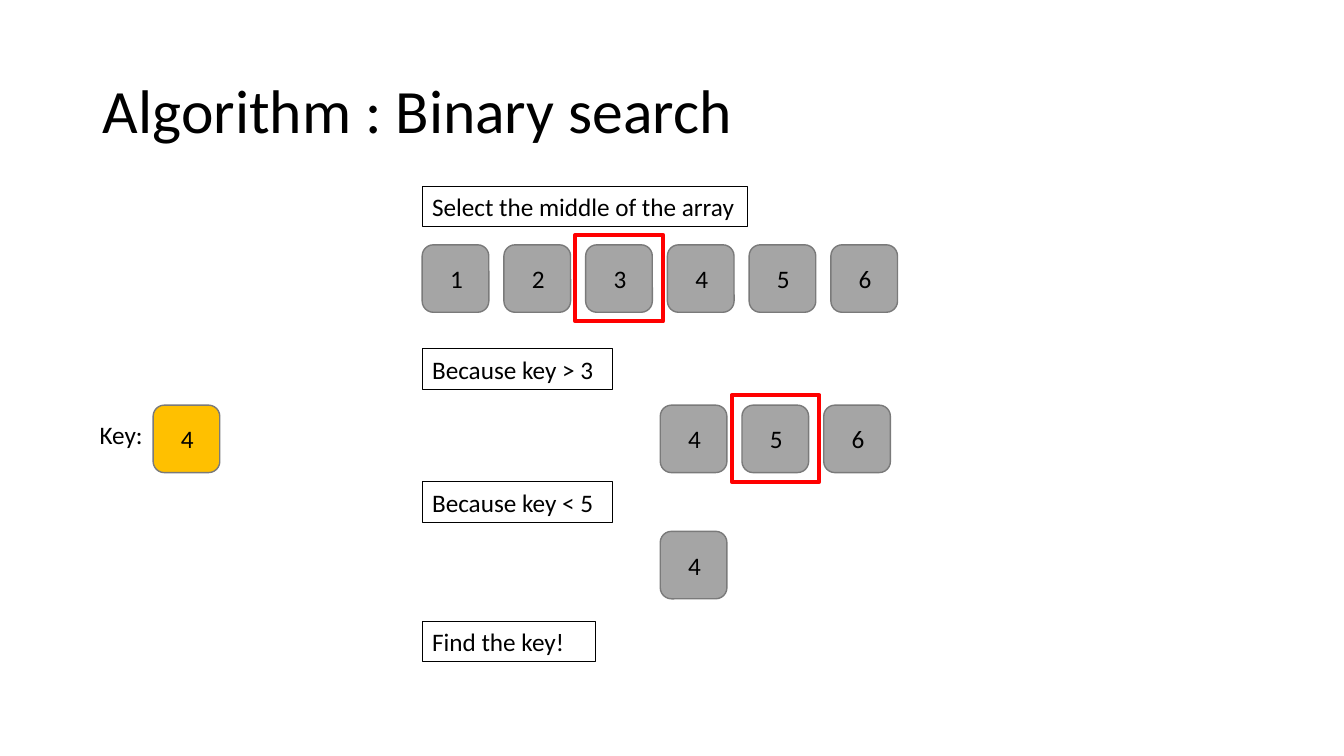
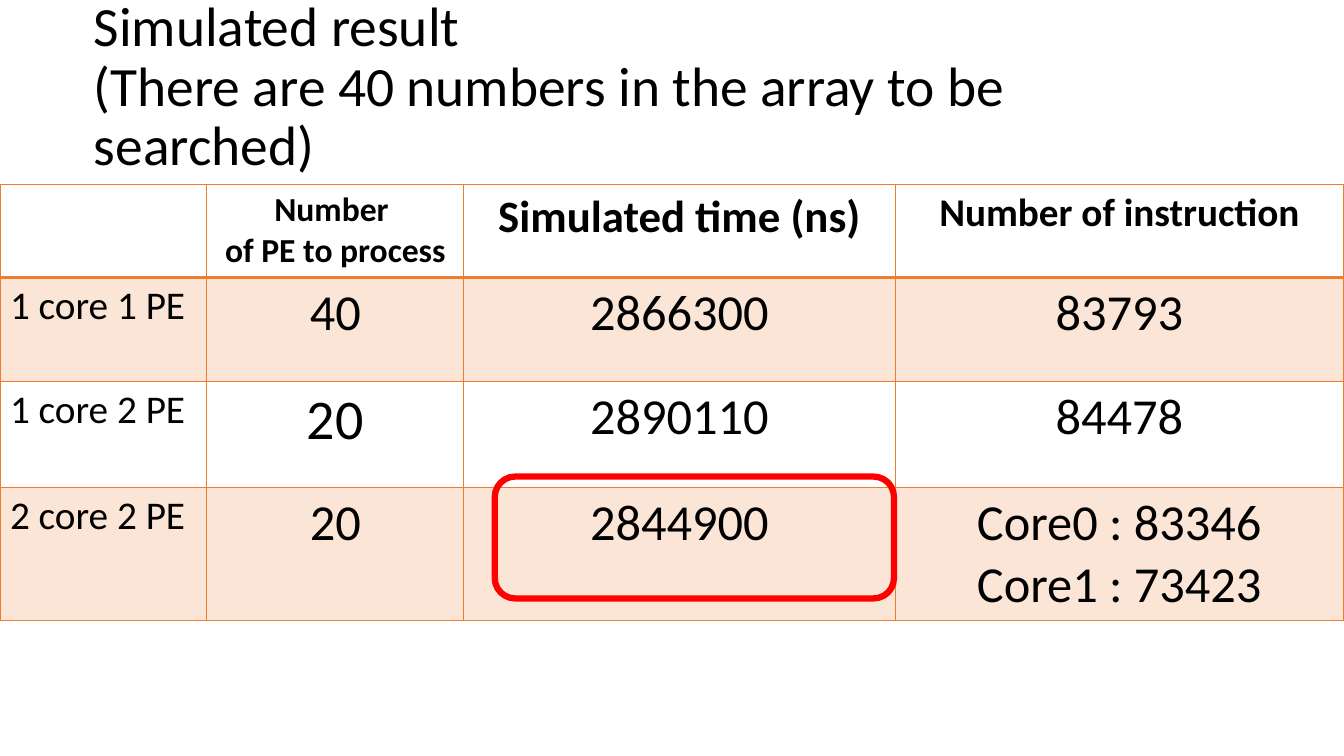
from lxml import etree
from pptx import Presentation
from pptx import util as u
from pptx.dml.color import RGBColor
from pptx.enum import shapes, text
from pptx.oxml.ns import qn

BLACK, WHITE, RED, ORANGE = "000000", "FFFFFF", "FF0000", "ED7D31"
GREY, GREY_EDGE, GOLD, PEACH = "A5A5A5", "7A7A7A", "FFC000", "FBE5D6"
FONT = "Calibri"
LEFT, CENTER = text.PP_ALIGN.LEFT, text.PP_ALIGN.CENTER
ROUNDED = shapes.MSO_SHAPE.ROUNDED_RECTANGLE
RECTANGLE = shapes.MSO_SHAPE.RECTANGLE
CHIP_WIDTH, CHIP_HEIGHT, CHIP_PITCH = 1.68, 1.7, 2.06
NOTE_LEFT, NOTE_HEIGHT = 10.64, 1.02


def color(hex_value):
    return RGBColor.from_string(hex_value)


def apply(target, values):
    for name, value in values.items():
        setattr(target, name, value)


def box(left, top, width, height):
    return [u.Cm(value) for value in (left, top, width, height)]


def write(frame, lines, size, bold=False, align=LEFT, spacing=1.0):
    """Fill a text frame with one paragraph per line in the shared font."""
    frame.text = "\n".join(lines)
    for paragraph in frame.paragraphs:
        apply(paragraph, {"alignment": align, "line_spacing": spacing})
        for run in paragraph.runs:
            apply(run.font, {"name": FONT, "size": u.Pt(size), "bold": bold})
            run.font.color.rgb = color(BLACK)


def add_slide(presentation, title, bounds, size):
    slide = presentation.slides.add_slide(presentation.slide_layouts[5])
    shape = slide.shapes.title
    apply(shape, dict(zip(("left", "top", "width", "height"), box(*bounds))))
    write(shape.text_frame, [title], size, spacing=0.9)
    apply(shape.text_frame, {
        "vertical_anchor": text.MSO_ANCHOR.MIDDLE,
        "auto_size": text.MSO_AUTO_SIZE.NONE,
        "word_wrap": True,
    })
    return slide


def add_outline(slide, kind, bounds, line, weight, fill=None):
    shape = slide.shapes.add_shape(kind, *box(*bounds))
    shape.shadow.inherit = False
    shape.line.color.rgb = color(line)
    shape.line.width = u.Pt(weight)
    if fill:
        shape.fill.solid()
        shape.fill.fore_color.rgb = color(fill)
    else:
        shape.fill.background()
    return shape


def add_chip(slide, left, top, number, fill=GREY):
    bounds = (left, top, CHIP_WIDTH, CHIP_HEIGHT)
    chip = add_outline(slide, ROUNDED, bounds, GREY_EDGE, 1, fill)
    write(chip.text_frame, [str(number)], 18)
    apply(chip.text_frame, {"margin_left": u.Cm(0.62), "margin_right": 0})


def add_array(slide, left, top, numbers, middle=None):
    """Draw a row of chips and frame the middle one in red."""
    for index, number in enumerate(numbers):
        chip_left = left + index * CHIP_PITCH
        add_chip(slide, chip_left, top, number)
        if number == middle:
            bounds = (chip_left - 0.26, top - 0.25, 2.21, 2.18)
            add_outline(slide, RECTANGLE, bounds, RED, 3)


def add_note(slide, top, width, wording):
    bounds = (NOTE_LEFT, top, width, NOTE_HEIGHT)
    note = add_outline(slide, RECTANGLE, bounds, BLACK, 0.75)
    write(note.text_frame, [wording], 18)


def add_label(slide, bounds, wording):
    label = slide.shapes.add_textbox(*box(*bounds))
    label.text_frame.word_wrap = True
    write(label.text_frame, [wording], 18)


def set_borders(cell, weights):
    properties = cell._tc.get_or_add_tcPr()
    for side, weight in weights.items():
        line = etree.SubElement(properties, qn(f"a:ln{side}"), w=str(u.Pt(weight)))
        fill = etree.SubElement(line, qn("a:solidFill"))
        etree.SubElement(fill, qn("a:srgbClr"), val=ORANGE)


def add_results_table(slide, rows, top, widths, heights):
    """Add the table; each cell is a pair of text lines and font size."""
    bounds = box(0, top, sum(widths), sum(heights))
    table = slide.shapes.add_table(len(rows), len(widths), *bounds).table
    apply(table, {"first_row": False, "horz_banding": False})
    for column, width in zip(table.columns, widths):
        column.width = u.Cm(width)
    for row_index, (row, height) in enumerate(zip(rows, heights)):
        table.rows[row_index].height = u.Cm(height)
        header = row_index == 0
        for column_index, (lines, size) in enumerate(row):
            cell = table.cell(row_index, column_index)
            align = CENTER if column_index else LEFT
            write(cell.text_frame, lines, size, header, align)
            set_borders(cell, {"L": 1, "R": 1, "T": 2 if row_index == 1 else 1,
                               "B": 2 if header else 1})
            cell.fill.solid()
            cell.fill.fore_color.rgb = color(PEACH if row_index % 2 else WHITE)


def build_search(presentation):
    slide = add_slide(presentation, "Algorithm : Binary search",
                      (2.34, 1.02, 17.75, 3.68), 44)
    add_label(slide, (2.26, 10.44, 1.68, 1.02), "Key:")
    add_chip(slide, 3.86, 10.21, 4, GOLD)
    add_array(slide, NOTE_LEFT, 6.17, range(1, 7), middle=3)
    add_array(slide, 16.64, 10.21, range(4, 7), middle=5)
    add_array(slide, 16.64, 13.39, [4])
    for top, width, wording in (
        (4.7, 8.2, "Select the middle of the array"),
        (8.79, 4.8, "Because key > 3"),
        (12.14, 4.8, "Because key < 5"),
        (15.65, 4.37, "Find the key!"),
    ):
        add_note(slide, top, width, wording)


def build_results(presentation):
    title = "Simulated result\v(There are 40 numbers in the array to be searched)"
    slide = add_slide(presentation, title, (2.11, 0.2, 29.21, 4.04), 39.6)
    rows = [
        [([""], 28), (["Number ", "of PE to process"], 24),
         (["Simulated time (ns)"], 32), (["Number of instruction"], 28)],
        [(["1 core 1 PE"], 28), (["40"], 36), (["2866300"], 36), (["83793"], 36)],
        [(["1 core 2 PE"], 28), (["20"], 40), (["2890110"], 36), (["84478"], 36)],
        [(["2 core 2 PE"], 28), (["20"], 36), (["2844900"], 36),
         (["Core0 : 83346", "Core1 : 73423"], 36)],
    ]
    add_results_table(slide, rows, 4.65, (5.21, 6.48, 10.87, 11.3),
                      (2.34, 2.62, 2.67, 3.35))
    add_outline(slide, ROUNDED, (12.47, 12.01, 10.06, 3.07), RED, 4.5)


def main():
    presentation = Presentation()
    apply(presentation, {"slide_width": u.Cm(33.87), "slide_height": u.Cm(19.05)})
    build_search(presentation)
    build_results(presentation)
    presentation.save("out.pptx")


main()
